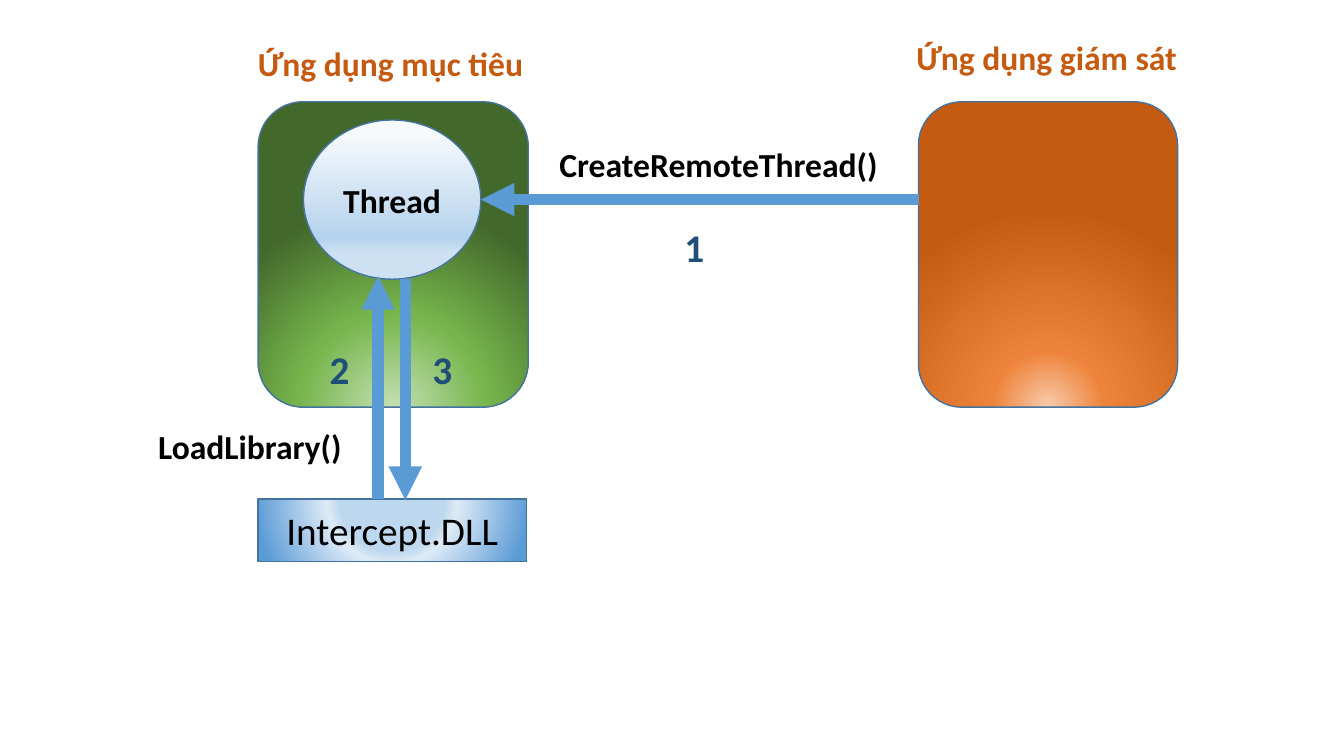
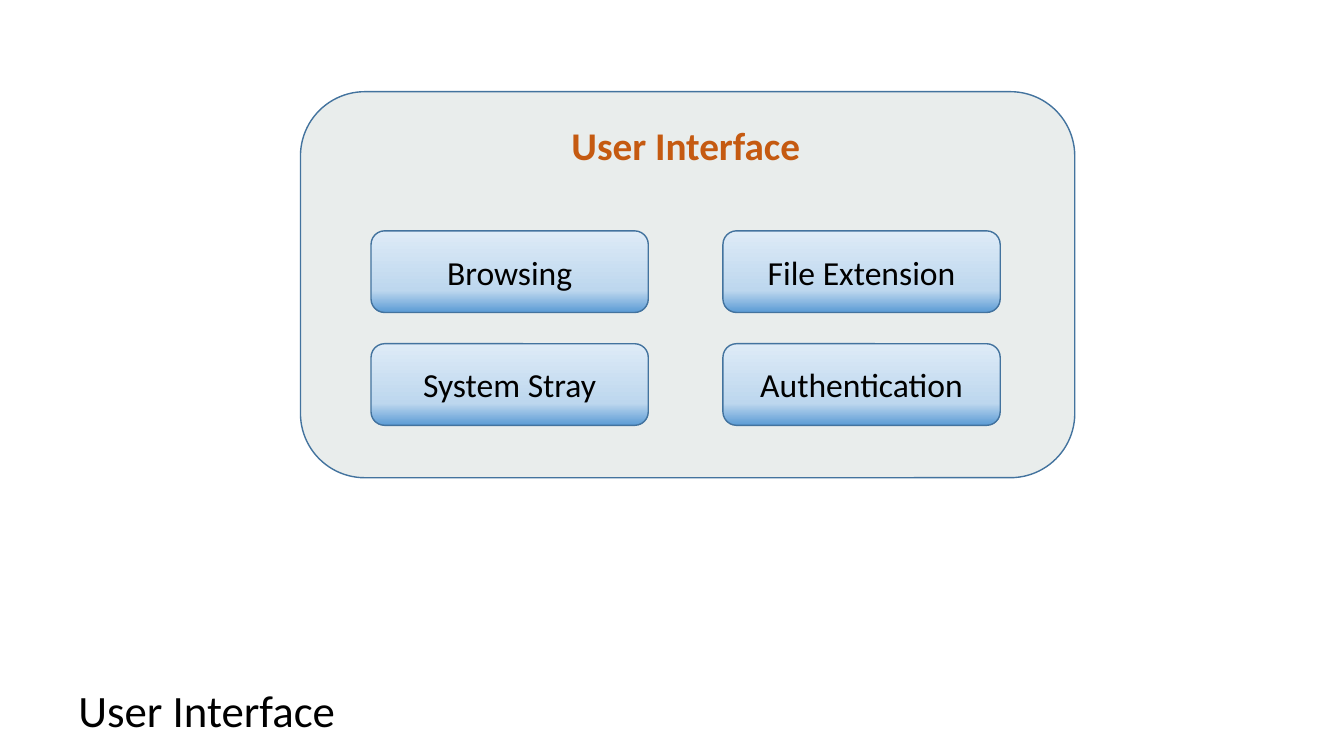
from dataclasses import dataclass
from itertools import product
from typing import NamedTuple, Optional

from lxml import etree
from pptx import Presentation
from pptx.dml.color import RGBColor
from pptx.enum.shapes import MSO_CONNECTOR, MSO_SHAPE
from pptx.enum.text import MSO_ANCHOR, MSO_AUTO_SIZE, PP_ALIGN
from pptx.oxml.ns import qn
from pptx.shapes.autoshape import Shape
from pptx.slide import Slide
from pptx.text.text import TextFrame
from pptx.util import Emu, Pt

RECT = MSO_SHAPE.RECTANGLE
ROUND = MSO_SHAPE.ROUNDED_RECTANGLE
OVAL = MSO_SHAPE.OVAL
STRAIGHT = MSO_CONNECTOR.STRAIGHT
MIDDLE = MSO_ANCHOR.MIDDLE
CENTER = PP_ALIGN.CENTER
GROW = MSO_AUTO_SIZE.SHAPE_TO_FIT_TEXT
EMU_PER_PX = 9144
BLANK = 6


class Gradient(NamedTuple):
    stops: tuple[tuple[int, str], ...]
    focus: Optional[int] = None


@dataclass(frozen=True)
class Theme:
    font: str = "Calibri"
    black: str = "000000"
    heading: str = "C55A11"
    number: str = "1F4E79"
    outline: str = "43739E"
    arrow: str = "5B9BD5"
    panel: str = "E9EDEC"
    green: Gradient = Gradient(((0, "C5E0B4"), (46, "76B54C"), (100, "43682B")), 130)
    orange: Gradient = Gradient(((0, "F8CBAD"), (28, "EE843B"), (100, "C55A11")), 130)
    pale: Gradient = Gradient(((7, "F7FAFD"), (74, "B5D2EC"), (84, "CEE1F2")))
    library: Gradient = Gradient(((38, "BDD7EE"), (47, "DEEBF7"), (100, "5B9BD5")), -80)
    button: Gradient = Gradient(((0, "DEEBF7"), (73, "BDD7EE"), (100, "5B9BD5")))
    body: int = 24
    large: int = 28
    title: int = 32
    outline_pt: int = 1
    arrow_pt: int = 8


THEME = Theme()


class Box(NamedTuple):
    x: int
    y: int
    w: int
    h: int


class Node(NamedTuple):
    box: Box
    kind: MSO_SHAPE
    fill: Gradient | str
    text: str = ""
    size: int = THEME.body
    bold: bool = False


class Label(NamedTuple):
    box: Box
    text: str
    size: int = THEME.body
    color: str = THEME.black
    bold: bool = True
    wrap: bool = False


class Arrow(NamedTuple):
    x1: int
    y1: int
    x2: int
    y2: int


def px(n: int) -> Emu:
    return Emu(n * EMU_PER_PX)


def rgb(color: str) -> RGBColor:
    return RGBColor.from_string(color)


def add_run(tf: TextFrame, text: str, size: int, color: str, bold: bool) -> None:
    r = tf.paragraphs[0].add_run()
    r.text = text
    r.font.name = THEME.font
    r.font.size = Pt(size)
    r.font.bold = bold
    r.font.color.rgb = rgb(color)


def fill_gradient(sp: Shape, gradient: Gradient) -> None:
    sp.fill.background()
    no_fill = sp.element.spPr.find(qn("a:noFill"))
    grad = etree.Element(qn("a:gradFill"), rotWithShape="1")
    stops = etree.SubElement(grad, qn("a:gsLst"))
    for pos, color in gradient.stops:
        stop = etree.SubElement(stops, qn("a:gs"), pos=str(pos * 1000))
        etree.SubElement(stop, qn("a:srgbClr"), val=color)
    if gradient.focus is None:
        etree.SubElement(grad, qn("a:lin"), ang="5400000", scaled="0")
    else:
        path = etree.SubElement(grad, qn("a:path"), path="circle")
        etree.SubElement(path, qn("a:fillToRect"), l="50000", r="50000",
                         t=str(gradient.focus * 1000),
                         b=str((100 - gradient.focus) * 1000))
    sp.element.spPr.replace(no_fill, grad)


def add_node(s: Slide, node: Node) -> None:
    sp = s.shapes.add_shape(node.kind, *map(px, node.box))
    sp.shadow.inherit = False
    if isinstance(node.fill, Gradient):
        fill_gradient(sp, node.fill)
    else:
        sp.fill.solid()
        sp.fill.fore_color.rgb = rgb(node.fill)
    sp.line.color.rgb = rgb(THEME.outline)
    sp.line.width = Pt(THEME.outline_pt)
    if node.text:
        tf = sp.text_frame
        tf.vertical_anchor = MIDDLE
        tf.paragraphs[0].alignment = CENTER
        add_run(tf, node.text, node.size, THEME.black, node.bold)


def add_label(s: Slide, label: Label) -> None:
    tf = s.shapes.add_textbox(*map(px, label.box)).text_frame
    tf.word_wrap = label.wrap
    tf.auto_size = GROW
    add_run(tf, label.text, label.size, label.color, label.bold)


def add_arrow(s: Slide, arrow: Arrow) -> None:
    cxn = s.shapes.add_connector(STRAIGHT, *map(px, arrow))
    cxn.line.color.rgb = rgb(THEME.arrow)
    cxn.line.width = Pt(THEME.arrow_pt)
    etree.SubElement(cxn.line._get_or_add_ln(), qn("a:tailEnd"), type="triangle")
    etree.SubElement(cxn.element.spPr, qn("a:effectLst"))


def build_injection(s: Slide) -> None:
    nodes = (
        Node(Box(256, 101, 268, 303), ROUND, THEME.green),
        Node(Box(911, 101, 257, 303), ROUND, THEME.orange),
        Node(Box(301, 119, 176, 158), OVAL, THEME.pale, "Thread", bold=True),
        Node(Box(256, 495, 266, 62), RECT, THEME.library, "Intercept.DLL", THEME.large),
    )
    labels = (
        Label(Box(545, 138, 340, 50), "CreateRemoteThread()", wrap=True),
        Label(Box(147, 418, 205, 50), "LoadLibrary()"),
        Label(Box(246, 38, 286, 50), "Ứng dụng mục tiêu", color=THEME.heading),
        Label(Box(899, 32, 281, 50), "Ứng dụng giám sát", color=THEME.heading),
        Label(Box(669, 217, 45, 57), "1", THEME.large, THEME.number, wrap=True),
        Label(Box(317, 338, 34, 57), "2", THEME.large, THEME.number, wrap=True),
        Label(Box(419, 338, 40, 57), "3", THEME.large, THEME.number),
    )
    arrows = (
        Arrow(911, 198, 477, 198),
        Arrow(402, 277, 402, 496),
        Arrow(375, 495, 375, 274),
    )
    for node in nodes:
        add_node(s, node)
    for label in labels:
        add_label(s, label)
    for arrow in arrows:
        add_arrow(s, arrow)


def build_interface(s: Slide) -> None:
    add_label(s, Label(Box(68, 672, 277, 64), "User Interface", THEME.title, bold=False))
    add_node(s, Node(Box(298, 91, 768, 383), ROUND, THEME.panel))
    names = ("Browsing", "File Extension", "System Stray", "Authentication")
    for (row, col), name in zip(product(range(2), repeat=2), names):
        box = Box(368 + 349 * col, 229 + 112 * row, 275, 81)
        add_node(s, Node(box, ROUND, THEME.button, name))
    add_label(s, Label(Box(557, 115, 250, 57), "User Interface", THEME.large, THEME.heading))


def main() -> None:
    prs = Presentation()
    prs.slide_width, prs.slide_height = px(1333), px(750)
    for build in (build_injection, build_interface):
        build(prs.slides.add_slide(prs.slide_layouts[BLANK]))
    prs.save("out.pptx")


if __name__ == "__main__":
    main()
